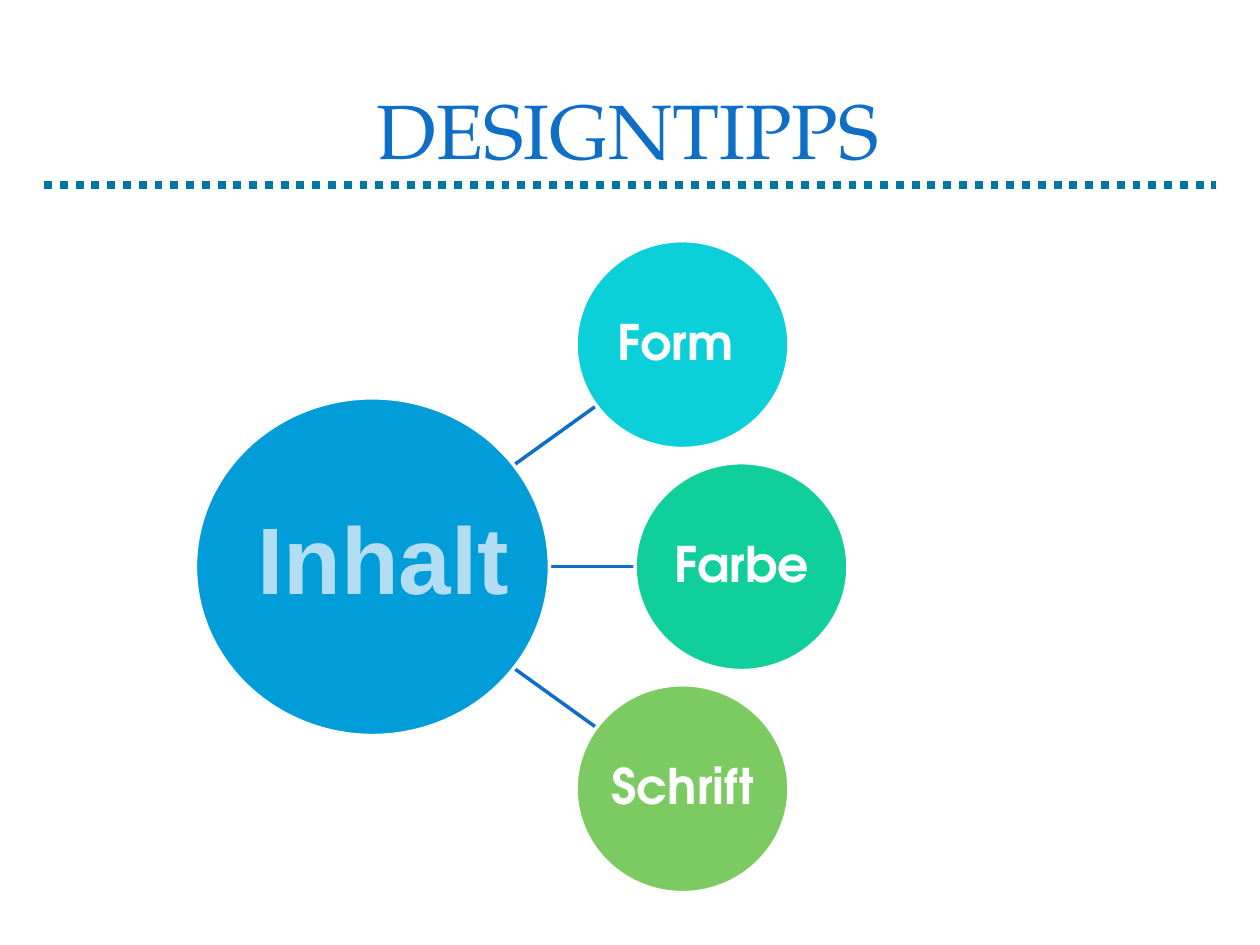
from pptx import Presentation
from pptx.dml.color import RGBColor
from pptx.enum.dml import MSO_LINE
from pptx.enum.shapes import MSO_CONNECTOR, MSO_SHAPE
from pptx.enum.text import MSO_ANCHOR, PP_ALIGN
from pptx.oxml.ns import qn
from pptx.util import Pt
from lxml.etree import SubElement

WHITE = RGBColor(0xFF, 0xFF, 0xFF)
BLUE = RGBColor(0x0F, 0x6F, 0xC6)
PETROL = RGBColor(0x00, 0x76, 0xA3)
SKY = RGBColor(0x00, 0x9D, 0xD9)
PALE = RGBColor(0xB3, 0xDD, 0xF2)
TURQUOISE = RGBColor(0x0B, 0xD0, 0xD9)
GREEN = RGBColor(0x10, 0xCF, 0x9B)
LIME = RGBColor(0x7C, 0xCA, 0x62)

MID_Y, STEP_Y = 323.8, 126.9
HUB_X, HUB_W, HUB_H = 212.8, 202.3, 193
TOPIC_W, TOPIC_H = 121.7, 118.8
TOPICS = [
    ("Form ", TURQUOISE, 390, 340.6, -1),
    ("Farbe", GREEN, 423.7, 363, 0),
    ("Schrift", LIME, 390, 340.6, 1),
]

TITLE_FONT = dict(name="TeX Gyre Pagella", size=Pt(44), bold=False)
HUB_FONT = dict(name="Arial", size=Pt(54), bold=True)
TOPIC_FONT = dict(name="TeX Gyre Adventor", size=Pt(28), bold=True)


def write(s, text, font, color, margin=None, spacing=None, wrap=True):
    tf = s.text_frame
    tf.word_wrap = wrap
    tf.vertical_anchor = MSO_ANCHOR.MIDDLE
    if margin is not None:
        for side in ("left", "top", "right", "bottom"):
            setattr(tf, f"margin_{side}", Pt(margin))
    p = tf.paragraphs[0]
    p.alignment = PP_ALIGN.CENTER
    p.line_spacing = spacing
    r = p.add_run()
    r.text = text
    for key, value in font.items():
        setattr(r.font, key, value)
    r.font.color.rgb = color


def add_title(s, text):
    sp = s.shapes.title
    sp.left, sp.top, sp.width, sp.height = Pt(33.8), Pt(32.4), Pt(650), Pt(82)
    write(sp, text, TITLE_FONT, BLUE)


def add_line(s, x1, y1, x2, y2, color, width, dash=None):
    sp = s.shapes.add_connector(MSO_CONNECTOR.STRAIGHT, Pt(x1), Pt(y1), Pt(x2), Pt(y2))
    sp.line.color.rgb = color
    sp.line.width = Pt(width)
    if dash is not None:
        sp.line.dash_style = dash
    SubElement(sp._element.spPr, qn("a:effectLst"))


def add_circle(s, cx, cy, w, h, color):
    sp = s.shapes.add_shape(MSO_SHAPE.OVAL, Pt(cx - w / 2), Pt(cy - h / 2), Pt(w), Pt(h))
    sp.shadow.inherit = False
    sp.fill.solid()
    sp.fill.fore_color.rgb = color
    sp.line.color.rgb = WHITE
    sp.line.width = Pt(2)
    return sp


def add_label(s, x, y, w, h, text):
    sp = s.shapes.add_textbox(Pt(x), Pt(y), Pt(w), Pt(h))
    write(sp, text, HUB_FONT, PALE, wrap=False)


def main():
    prs = Presentation()
    prs.slide_width, prs.slide_height = Pt(720), Pt(540)
    s = prs.slides.add_slide(prs.slide_layouts[5])

    add_title(s, "DESIGNTIPPS")
    add_line(s, 25.2, 105.8, 694.8, 105.8, PETROL, 4.5, MSO_LINE.ROUND_DOT)

    for _, _, _, end_x, row in TOPICS:
        add_line(s, 273, MID_Y + 43.2 * row, end_x, MID_Y + 91.8 * row, BLUE, 2)
    add_circle(s, HUB_X, MID_Y, HUB_W, HUB_H, SKY)
    for text, color, cx, _, row in TOPICS:
        sp = add_circle(s, cx, MID_Y + STEP_Y * row, TOPIC_W, TOPIC_H, color)
        write(sp, text, TOPIC_FONT, WHITE, margin=1.4, spacing=0.9)
    add_label(s, 139, 281.5, 160, 72.7, "Inhalt")

    prs.save("out.pptx")


if __name__ == "__main__":
    main()
